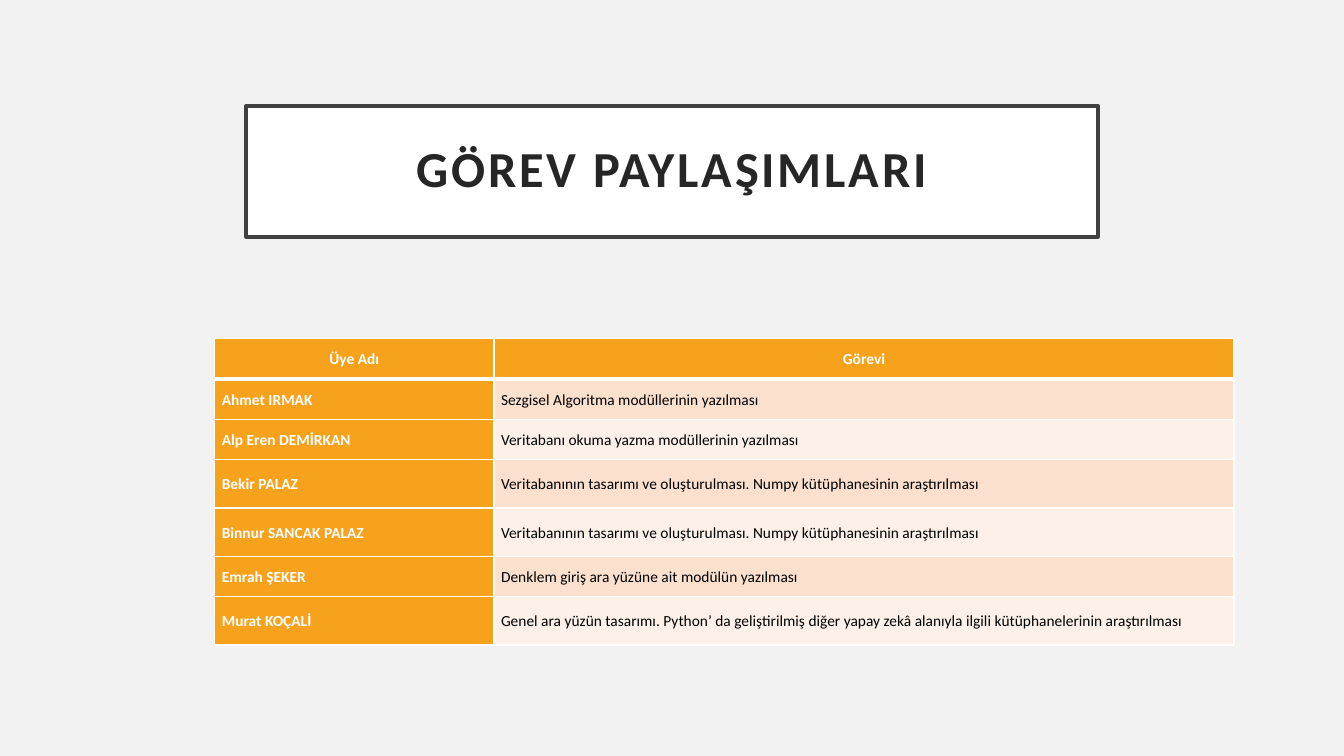
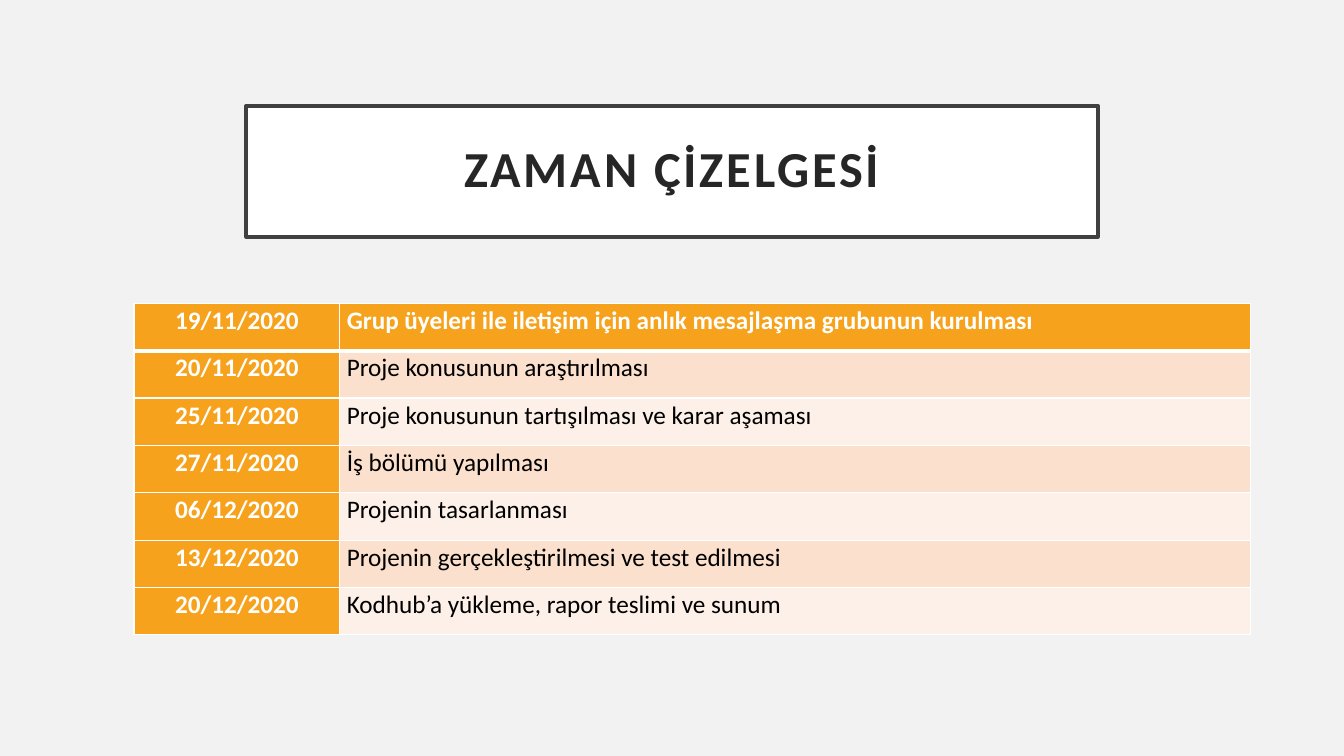
from lxml import etree
from pptx import Presentation
from pptx.dml.color import RGBColor
from pptx.enum.text import MSO_ANCHOR, MSO_AUTO_SIZE, PP_ALIGN
from pptx.oxml.ns import qn
from pptx.util import Inches, Pt

LEFT, CENTER = PP_ALIGN.LEFT, PP_ALIGN.CENTER
TOP, MIDDLE = MSO_ANCHOR.TOP, MSO_ANCHOR.MIDDLE
NO_AUTOFIT = MSO_AUTO_SIZE.NONE
TITLE_ONLY = 5

FONT = "Calibri"
COLORS = {
    "background": "F2F2F2",
    "white": "FFFFFF",
    "frame": "404040",
    "title": "262626",
    "accent": "F6A21D",
    "band_dark": "FBE0CD",
    "band_light": "FDF0E8",
    "text": "000000",
}
TITLE_BOX = (2.44, 1.05, 8.45, 1.3)

TASKS = [
    ("Üye Adı", "Görevi"),
    ("Ahmet IRMAK", "Sezgisel Algoritma modüllerinin yazılması"),
    ("Alp Eren DEMİRKAN", "Veritabanı okuma yazma modüllerinin yazılması"),
    ("Bekir PALAZ", "Veritabanının tasarımı ve oluşturulması. Numpy kütüphanesinin araştırılması"),
    ("Binnur SANCAK PALAZ", "Veritabanının tasarımı ve oluşturulması. Numpy kütüphanesinin araştırılması"),
    ("Emrah ŞEKER", "Denklem giriş ara yüzüne ait modülün yazılması"),
    ("Murat KOÇALİ", "Genel ara yüzün tasarımı. Python’ da geliştirilmiş diğer yapay zekâ "
                     "alanıyla ilgili kütüphanelerinin araştırılması"),
]
SCHEDULE = [
    ("19/11/2020", "Grup üyeleri ile iletişim için anlık mesajlaşma grubunun kurulması"),
    ("20/11/2020", "Proje konusunun araştırılması"),
    ("25/11/2020", "Proje konusunun tartışılması ve karar aşaması"),
    ("27/11/2020", "İş bölümü yapılması"),
    ("06/12/2020", "Projenin tasarlanması"),
    ("13/12/2020", "Projenin gerçekleştirilmesi ve test edilmesi"),
    ("20/12/2020", "Kodhub’a yükleme, rapor teslimi ve sunum"),
]


def rgb(name):
    return RGBColor.from_string(COLORS[name])


def set_text(tf, text, size, color, bold=False, align=LEFT, line_spacing=1.07, spacing=0):
    p = tf.paragraphs[0]
    p.alignment = align
    p.line_spacing = line_spacing
    r = p.add_run()
    r.text = text
    r.font.name = FONT
    r.font.size = Pt(size)
    r.font.bold = bold
    r.font.color.rgb = rgb(color)
    if spacing:
        r.font._element.set("spc", str(spacing * 100))


def set_borders(cell, top=1, bottom=1):
    """Draw white cell borders; the lines must come before the fill."""
    tc_pr = cell._tc.get_or_add_tcPr()
    for i, (side, width) in enumerate(zip("LRTB", (1, 1, top, bottom))):
        ln = etree.Element(qn("a:ln" + side), w=str(Pt(width)))
        fill = etree.SubElement(ln, qn("a:solidFill"))
        etree.SubElement(fill, qn("a:srgbClr"), val=COLORS["white"])
        tc_pr.insert(i, ln)


def add_title(slide, text, box):
    sp = slide.shapes.title
    sp.left, sp.top, sp.width, sp.height = map(Inches, box)
    sp.fill.solid()
    sp.fill.fore_color.rgb = rgb("white")
    sp.line.color.rgb = rgb("frame")
    sp.line.width = Pt(2.5)
    tf = sp.text_frame
    tf.word_wrap = True
    tf.auto_size = NO_AUTOFIT
    tf.vertical_anchor = MIDDLE
    tf.margin_left = tf.margin_right = tf.margin_top = tf.margin_bottom = Inches(0.2)
    set_text(tf, text, 36, "title", bold=True, align=CENTER, line_spacing=0.9, spacing=2)


def add_banded_table(slide, rows, left, top, col_widths, row_heights, size, anchor, aligns):
    """aligns holds the header row's and the body rows' column alignments."""
    box = map(Inches, (left, top, sum(col_widths), sum(row_heights)))
    table = slide.shapes.add_table(len(rows), len(col_widths), *box).table
    table.first_row = table.horz_banding = False
    for column, width in zip(table.columns, col_widths):
        column.width = Inches(width)
    for i, (row, height) in enumerate(zip(rows, row_heights)):
        table.rows[i].height = Inches(height)
        for j, text in enumerate(row):
            cell = table.cell(i, j)
            strong = i == 0 or j == 0
            band = "band_dark" if i % 2 else "band_light"
            cell.fill.solid()
            cell.fill.fore_color.rgb = rgb("accent" if strong else band)
            cell.vertical_anchor = anchor
            cell.margin_left = cell.margin_right = Inches(0.07)
            cell.margin_top = cell.margin_bottom = 0
            set_borders(cell, top=3 if i == 1 else 1, bottom=3 if i == 0 else 1)
            set_text(cell.text_frame, text, size, "white" if strong else "text",
                     bold=strong, align=aligns[min(i, 1)][j])


def add_table_slide(prs, title, rows, **table_format):
    s = prs.slides.add_slide(prs.slide_layouts[TITLE_ONLY])
    add_title(s, title, TITLE_BOX)
    add_banded_table(s, rows, **table_format)


def main():
    prs = Presentation()
    prs.slide_width, prs.slide_height = Inches(13.33), Inches(7.5)
    background = prs.slide_master.background.fill
    background.solid()
    background.fore_color.rgb = rgb("background")

    # Task sharing
    add_table_slide(prs, "GÖREV PAYLAŞIMLARI", TASKS, left=2.13, top=3.36,
                    col_widths=(2.77, 7.34),
                    row_heights=(0.4, 0.4, 0.4, 0.48, 0.48, 0.4, 0.48),
                    size=11, anchor=MIDDLE, aligns=((CENTER, CENTER), (LEFT, LEFT)))

    # Timetable
    add_table_slide(prs, "ZAMAN ÇİZELGESİ", SCHEDULE, left=1.33, top=3.01,
                    col_widths=(2.04, 9.03), row_heights=[0.47] * len(SCHEDULE),
                    size=18, anchor=TOP, aligns=((CENTER, LEFT), (CENTER, LEFT)))

    prs.save("out.pptx")


if __name__ == "__main__":
    main()
